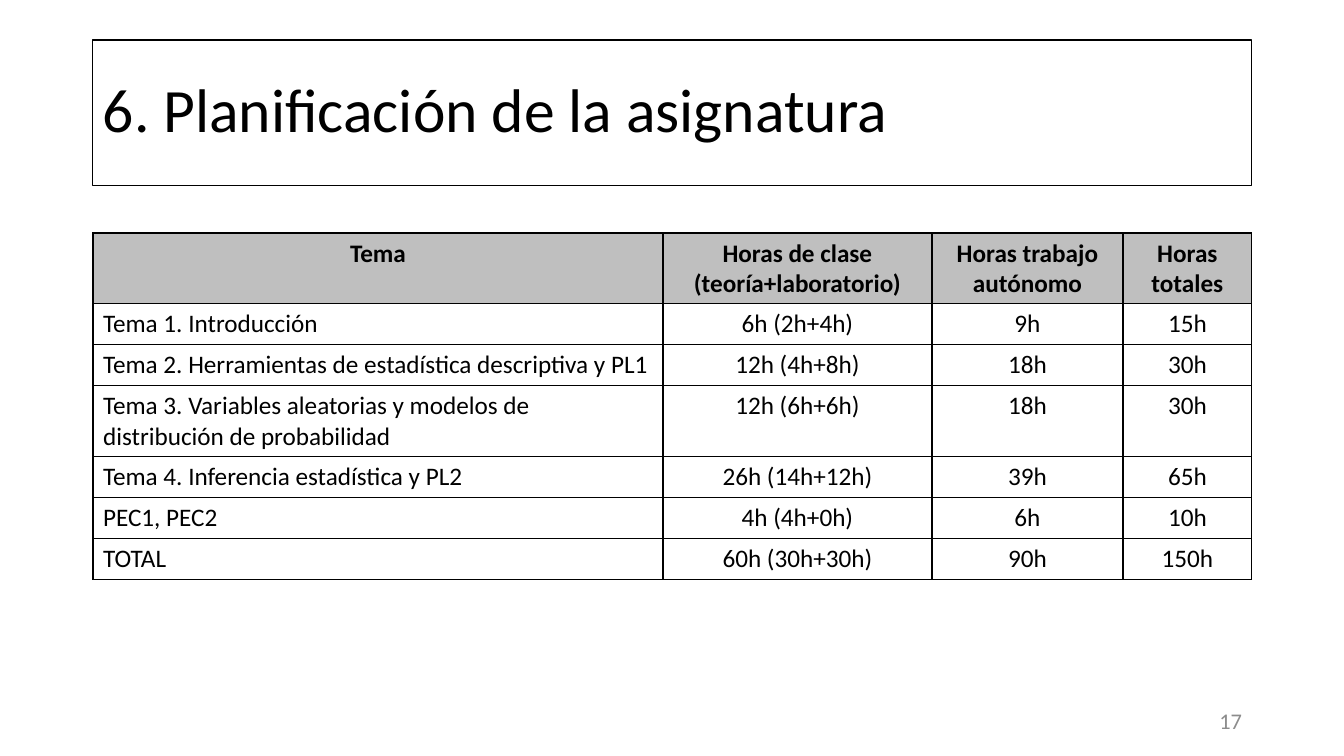
from lxml import etree
from pptx import Presentation
from pptx import util as u
from pptx.dml.color import RGBColor
from pptx.enum import shapes, text
from pptx.oxml.ns import qn

EMU_PER_PX = 914400 / 100.8
COLORS = {"ink": "000000", "header": "BFBFBF", "page": "8C8C8C"}
LEFT, WIDTH = 93, 1159
COLUMN_WIDTHS = [570, 269, 191, 129]
ROW_HEIGHT = 41
PLAN = [
    ["Tema", "Horas de clase (teoría+laboratorio)", "Horas trabajo autónomo", "Horas totales"],
    ["Tema 1. Introducción", "6h (2h+4h)", "9h", "15h"],
    ["Tema 2. Herramientas de estadística descriptiva y PL1", "12h (4h+8h)", "18h", "30h"],
    ["Tema 3. Variables aleatorias y modelos de distribución de probabilidad",
     "12h (6h+6h)", "18h", "30h"],
    ["Tema 4. Inferencia estadística y PL2", "26h (14h+12h)", "39h", "65h"],
    ["PEC1, PEC2", "4h (4h+0h)", "6h", "10h"],
    ["TOTAL", "60h (30h+30h)", "90h", "150h"],
]


def px(*lengths):
    """Turn pixel lengths into EMU."""
    return [u.Emu(round(length * EMU_PER_PX)) for length in lengths]


def write(frame, words, size, color="ink", align=text.PP_ALIGN.LEFT, bold=False):
    """Put one styled run in the frame and return its paragraph."""
    frame.word_wrap = True
    paragraph = frame.paragraphs[0]
    paragraph.alignment = align
    run = paragraph.add_run()
    run.text = words
    run.font.name = "Calibri"
    run.font.size = u.Pt(size)
    run.font.bold = bold
    run.font.color.rgb = RGBColor.from_string(COLORS[color])
    return paragraph


prs = Presentation()
prs.slide_width, prs.slide_height = px(1344, 756)
slide = prs.slides.add_slide(prs.slide_layouts[6])

# Title
title = slide.shapes.add_shape(shapes.MSO_SHAPE.RECTANGLE, *px(LEFT, 40, WIDTH, 146))
title.shadow.inherit = False
title.fill.background()
title.line.color.rgb = RGBColor.from_string(COLORS["ink"])
title.line.width = u.Pt(0.75)
title.text_frame.vertical_anchor = text.MSO_ANCHOR.MIDDLE
write(title.text_frame, "6. Planificación de la asignatura", 44).line_spacing = 0.9

# Page number
page = slide.shapes.add_textbox(*px(950, 701, 302, 40))
page.text_frame.vertical_anchor = text.MSO_ANCHOR.MIDDLE
write(page.text_frame, "17", 16, "page", text.PP_ALIGN.RIGHT)

# Hours table
hours = slide.shapes.add_table(
    len(PLAN), len(COLUMN_WIDTHS), *px(LEFT, 233, WIDTH, ROW_HEIGHT * len(PLAN))).table
for column, width in zip(hours.columns, px(*COLUMN_WIDTHS)):
    column.width = width

for r, entries in enumerate(PLAN):
    hours.rows[r].height = px(ROW_HEIGHT)[0]
    for c, entry in enumerate(entries):
        cell = hours.cell(r, c)
        is_header = r == 0
        centered = is_header or c > 0
        write(cell.text_frame, entry, 18, bold=is_header,
              align=text.PP_ALIGN.CENTER if centered else text.PP_ALIGN.LEFT)
        properties = cell._tc.get_or_add_tcPr()
        for side in ("a:lnL", "a:lnR", "a:lnT", "a:lnB"):
            border = etree.SubElement(properties, qn(side), w=str(u.Pt(1)))
            solid = etree.SubElement(border, qn("a:solidFill"))
            etree.SubElement(solid, qn("a:srgbClr"), val=COLORS["ink"])
        if is_header:
            cell.fill.solid()
            cell.fill.fore_color.rgb = RGBColor.from_string(COLORS["header"])
        else:
            cell.fill.background()

prs.save("out.pptx")
